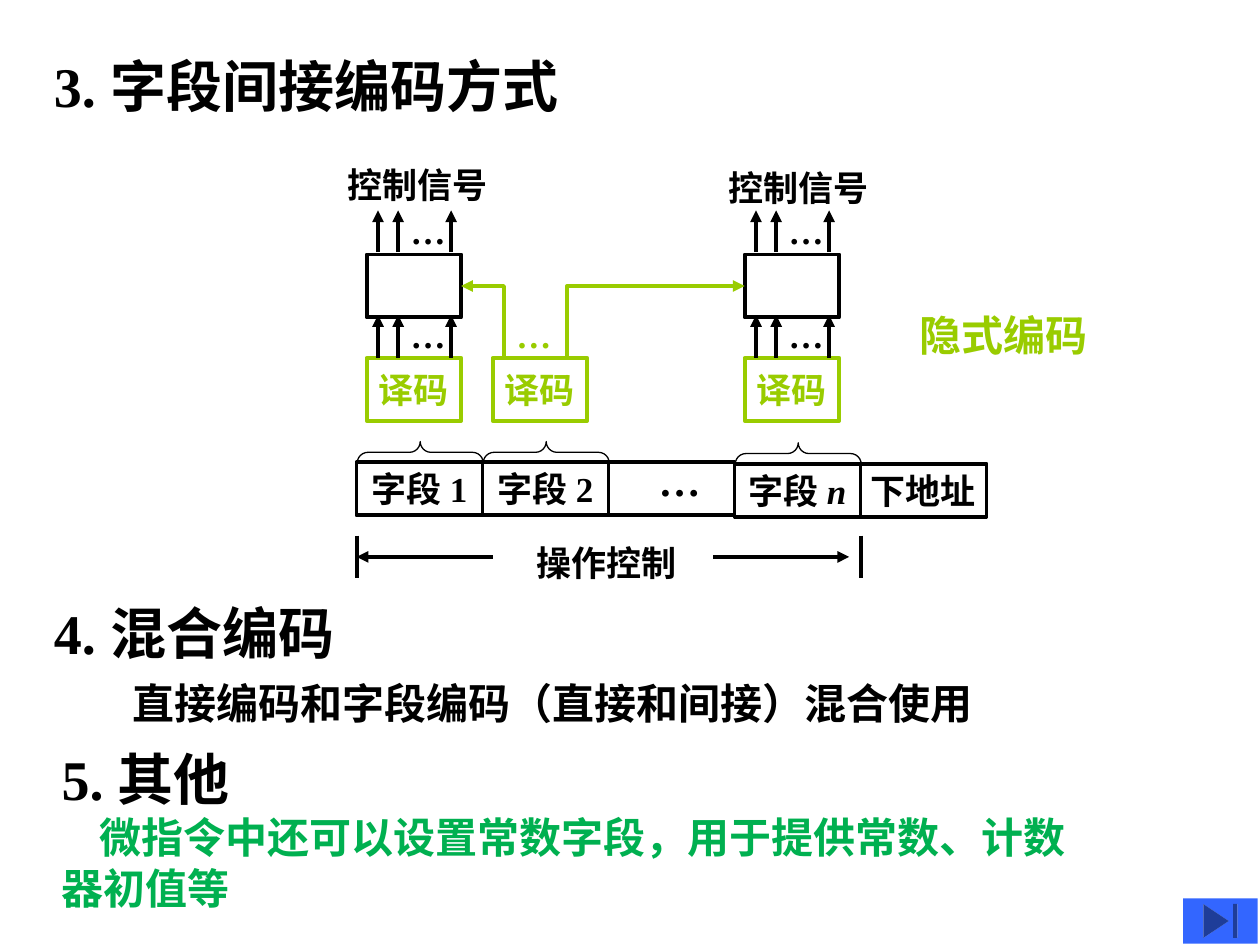
from typing import NamedTuple

from lxml.etree import SubElement
from pptx import Presentation
from pptx.dml.color import RGBColor
from pptx.enum.shapes import MSO_CONNECTOR, MSO_SHAPE
from pptx.enum.text import MSO_ANCHOR, MSO_AUTO_SIZE, PP_ALIGN
from pptx.oxml.ns import qn
from pptx.util import Inches, Pt

BLACK, LIME, GREEN, BLUE = "000000", "99CC00", "00B050", "3366FF"
SERIF, SANS = "Times New Roman", "DejaVu Sans"


class Field(NamedTuple):
    label: str
    left: float
    top: float
    brace: bool = False
    symbol: str = ""


class Decoder(NamedTuple):
    left: float
    has_output: bool
    caption_at: tuple[float, float] = (0, 0)


FIELDS = [
    Field("字段 1", 2.83, 3.67, brace=True),
    Field("字段 2", 3.83, 3.67, brace=True),
    Field("", 4.83, 3.67),
    Field("字段 ", 5.83, 3.68, brace=True, symbol="n"),
    Field("下地址", 6.83, 3.68),
]
DECODERS = [
    Decoder(2.91, True, (2.66, 1.25)),
    Decoder(3.91, False),
    Decoder(5.91, True, (5.68, 1.27)),
]


def rgb(color: str) -> RGBColor:
    return RGBColor.from_string(color)


def write(p, text: str, *, size: float = 20, font: str = SERIF,
          color: str = BLACK, italic: bool = False) -> None:
    r = p.add_run()
    r.text = text
    f = r.font
    f.size, f.name, f.bold, f.italic = Pt(size), font, True, italic
    f.color.rgb = rgb(color)


def text_box(s, left: float, top: float, width: float, height: float,
             text: str = "", *, wrap: bool = False, **style):
    """Add a text box and return its text frame."""
    tf = s.shapes.add_textbox(Inches(left), Inches(top),
                              Inches(width), Inches(height)).text_frame
    tf.word_wrap = wrap
    tf.auto_size = MSO_AUTO_SIZE.SHAPE_TO_FIT_TEXT
    if text:
        write(tf.paragraphs[0], text, **style)
    return tf


def heading(s, left: float, top: float, width: float, height: float,
            number: str, title: str):
    tf = text_box(s, left, top, width, height, number, wrap=True, size=32)
    write(tf.paragraphs[0], title, size=32, font=SANS)
    return tf


def outline(sp, color: str = BLACK, weight: float = 2.25) -> None:
    sp.shadow.inherit = False
    sp.fill.background()
    sp.line.color.rgb = rgb(color)
    sp.line.width = Pt(weight)


def add_arrowhead(sp) -> None:
    SubElement(sp.line._get_or_add_ln(), qn("a:tailEnd"), type="triangle")


def box(s, left: float, top: float, width: float, height: float,
        text: str = "", color: str = BLACK):
    """Add an outlined rectangle and return its paragraph."""
    sp = s.shapes.add_shape(MSO_SHAPE.RECTANGLE, Inches(left), Inches(top),
                            Inches(width), Inches(height))
    outline(sp, color)
    tf = sp.text_frame
    tf.word_wrap = False
    tf.vertical_anchor = MSO_ANCHOR.MIDDLE
    p = tf.paragraphs[0]
    p.alignment = PP_ALIGN.CENTER
    if text:
        write(p, text, color=color)
    return p


def line(s, x1: float, y1: float, x2: float, y2: float,
         arrow: bool = False) -> None:
    c = s.shapes.add_connector(MSO_CONNECTOR.STRAIGHT, Inches(x1), Inches(y1),
                               Inches(x2), Inches(y2))
    c.line.color.rgb = rgb(BLACK)
    c.line.width = Pt(2.25)
    if arrow:
        add_arrowhead(c)
    SubElement(c._element.spPr, qn("a:effectLst"))


def bent_arrow(s, *points: tuple[float, float]) -> None:
    start, *rest = [(Inches(x), Inches(y)) for x, y in points]
    builder = s.shapes.build_freeform(*start)
    builder.add_line_segments(rest, close=False)
    sp = builder.convert_to_shape()
    outline(sp, LIME)
    add_arrowhead(sp)


def signals(s, left: float, bottom: float, top: float) -> None:
    """Draw three upward arrows with an ellipsis before the last."""
    for dx in (0.09, 0.25, 0.67):
        line(s, left + dx, bottom, left + dx, top, arrow=True)
    text_box(s, left + 0.25, top - 0.06, 0.48, 0.44, "…")


def field(s, item: Field) -> None:
    p = box(s, item.left, item.top, 1, 0.42, item.label)
    if item.symbol:
        write(p, item.symbol, italic=True)
    if item.brace:
        sp = s.shapes.add_shape(
            MSO_SHAPE.LEFT_BRACE, Inches(item.left + 0.42),
            Inches(item.top - 0.58), Inches(0.17), Inches(1))
        sp.rotation = 90
        sp.adjustments[0] = 0.5
        outline(sp, weight=0.75)


def decoder(s, item: Decoder) -> None:
    box(s, item.left, 2.84, 0.75, 0.5, "译码", LIME)
    if item.has_output:
        box(s, item.left, 2.02, 0.75, 0.5)
        signals(s, item.left, 2.84, 2.5)
        signals(s, item.left, 2, 1.67)
        text_box(s, *item.caption_at, 1.31, 0.44, "控制信号")


def main() -> None:
    prs = Presentation()
    prs.slide_width, prs.slide_height = Inches(10), Inches(7.5)
    s = prs.slides.add_slide(prs.slide_layouts[6])

    heading(s, 0.33, 0.36, 8.58, 0.64, "3. ", "字段间接编码方式")
    heading(s, 0.33, 4.7, 7.32, 0.64, "4. ", "混合编码")
    text_box(s, 0.95, 5.33, 8.35, 0.5,
             "直接编码和字段编码（直接和间接）混合使用",
             wrap=True, size=24, font=SANS)
    tf = heading(s, 0.39, 5.86, 8.31, 1.44, "5. ", "其他")
    p = tf.add_paragraph()
    p._p.get_or_add_pPr().set("indent", str(Inches(0.3)))
    write(p, "微指令中还可以设置常数字段，用于提供常数、计数器初值等",
          size=24, font=SANS, color=GREEN)

    for item in FIELDS:
        field(s, item)
    text_box(s, 5.13, 3.56, 0.53, 0.5, "…", size=24)
    for item in DECODERS:
        decoder(s, item)
    text_box(s, 4, 2.44, 0.48, 0.44, "…", color=LIME)
    bent_arrow(s, (4, 2.85), (4, 2.27), (3.66, 2.27))
    bent_arrow(s, (4.5, 2.85), (4.5, 2.27), (5.91, 2.27))
    text_box(s, 7.2, 2.41, 2.36, 0.5, "隐式编码",
             wrap=True, size=24, color=LIME)

    for x in (2.83, 6.83):
        line(s, x, 4.25, x, 4.59)
    line(s, 3.91, 4.42, 2.83, 4.42, arrow=True)
    line(s, 5.66, 4.42, 6.74, 4.42, arrow=True)
    text_box(s, 4.16, 4.25, 1.31, 0.44, "操作控制")

    button = s.shapes.add_shape(MSO_SHAPE.ACTION_BUTTON_END, Inches(9.39),
                                Inches(7.13), Inches(0.59), Inches(0.36))
    button.shadow.inherit = False
    button.fill.solid()
    button.fill.fore_color.rgb = rgb(BLUE)
    button.line.fill.background()

    prs.save("out.pptx")


if __name__ == "__main__":
    main()
